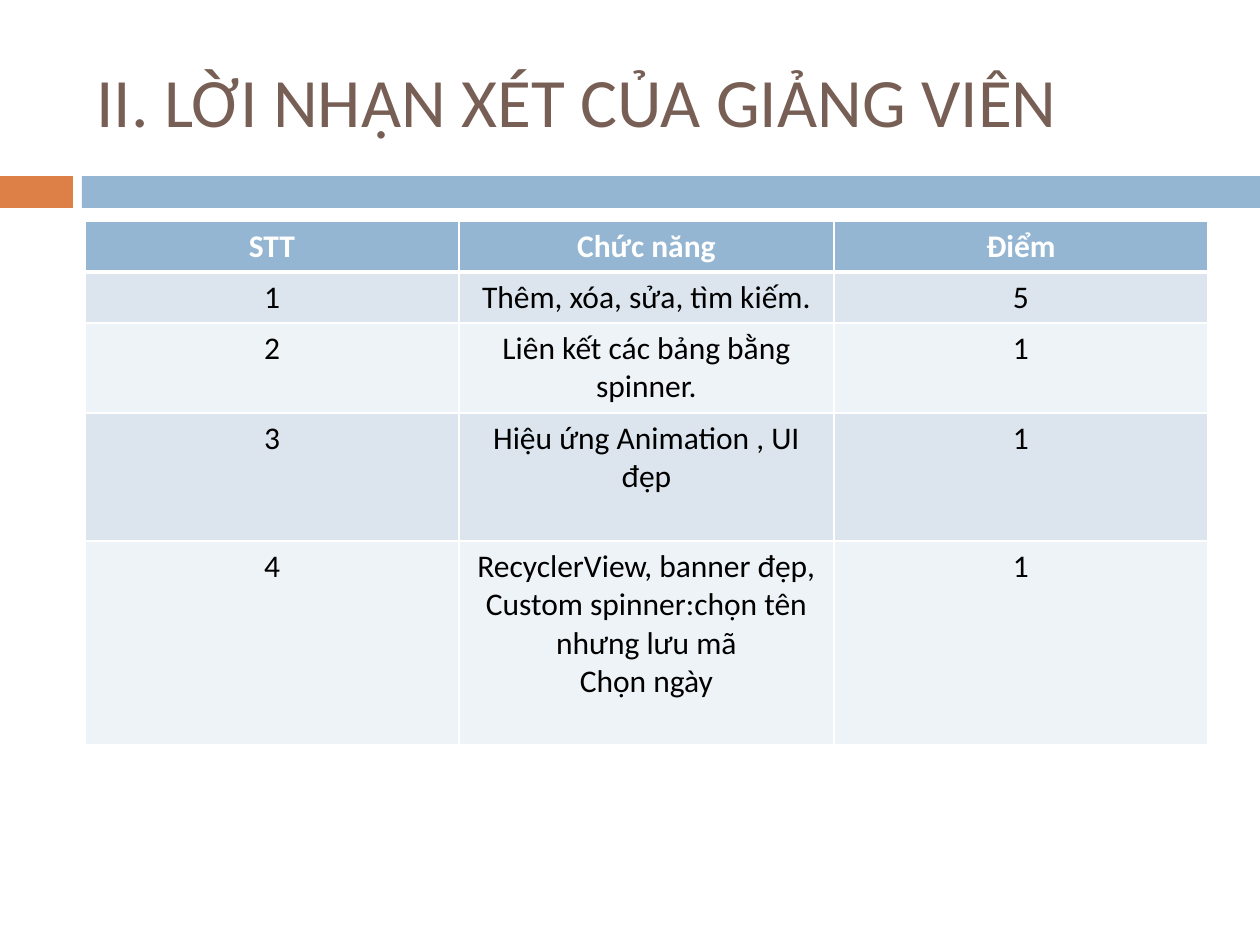
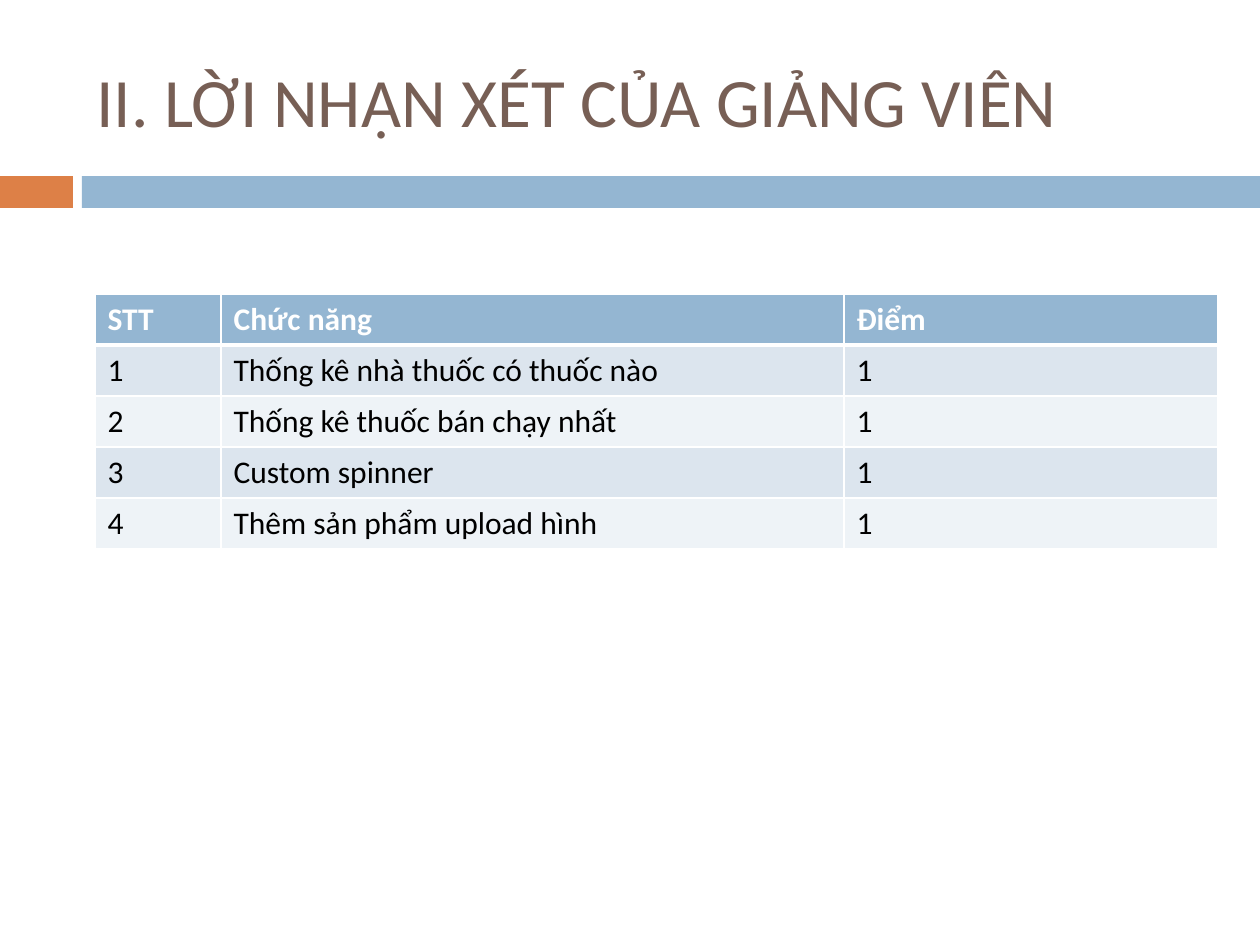
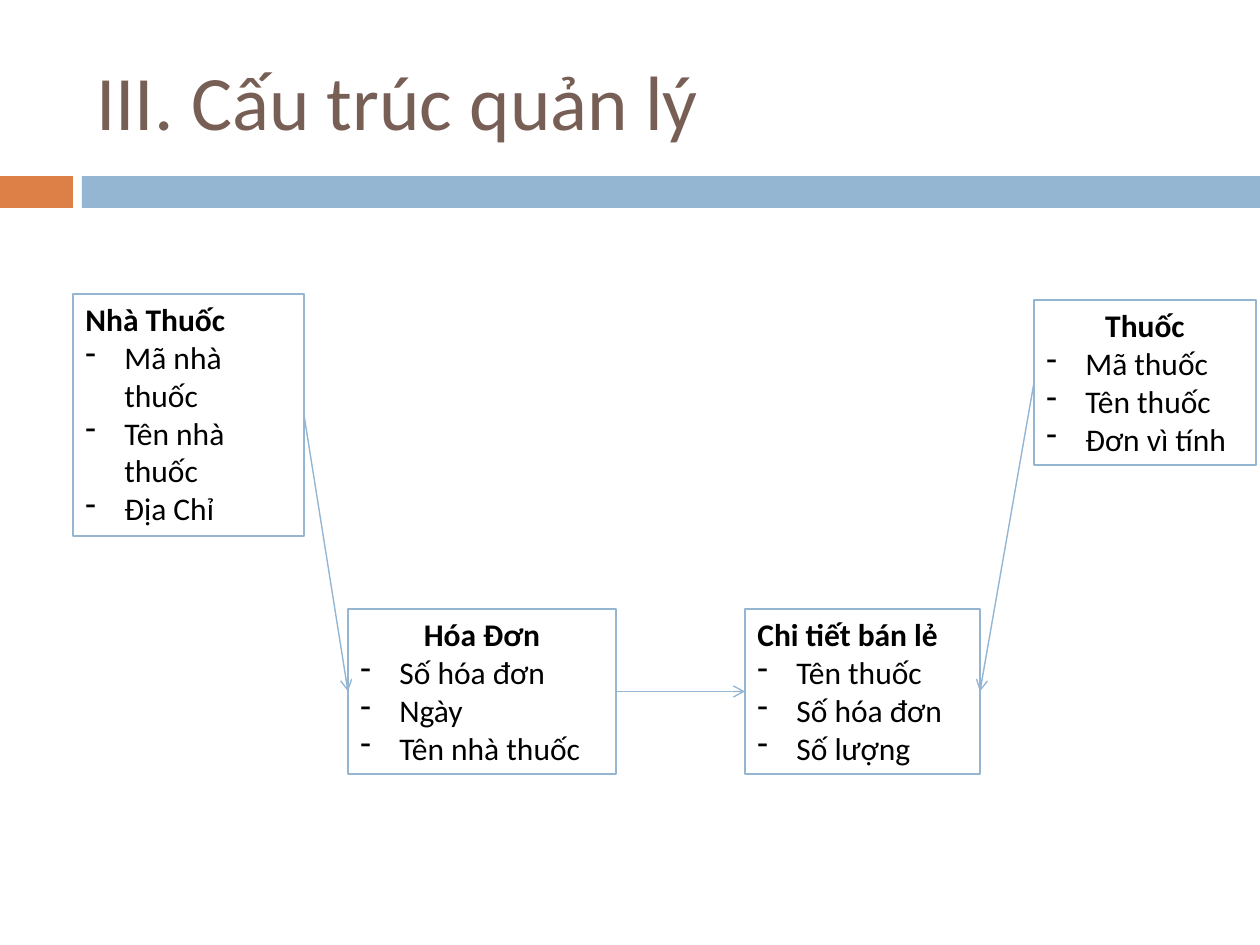
from lxml import etree
from pptx import Presentation, util as u
from pptx.dml.color import RGBColor
from pptx.enum import shapes, text
from pptx.oxml.ns import qn

HUE = {"blue": "94B6D2", "orange": "DD8047", "brown": "775F55", "white": "FFFFFF",
       "black": "000000", "band": "DCE5EE", "pale": "EEF3F7"}
RGB = {name: RGBColor.from_string(code) for name, code in HUE.items()}
LEFT, MID = text.PP_ALIGN.LEFT, text.PP_ALIGN.CENTER


def px(count):
    """Turn pixels, 126 to the inch, into EMU."""
    return u.Emu(round(count * 914400 / 126))


def style(para, size, hue, bold=False, align=LEFT):
    para.alignment = align
    font = para.font
    font.name, font.size, font.bold = "Calibri", u.Pt(size), bold
    font.color.rgb = RGB[hue]


deck = Presentation()
deck.slide_width, deck.slide_height = px(1260), px(945)

# Shared title and bands
REVIEW = "II. LỜI NHẬN XÉT CỦA GIẢNG VIÊN"
pages = []
for title, size in [(REVIEW, 39.6), (REVIEW, 39.6), ("III. Cấu trúc quản lý", 44)]:
    page = deck.slides.add_slide(deck.slide_layouts[6])
    pages.append(page)
    for left, width, hue in [(0, 73, "orange"), (82, 1178, "blue")]:
        band = page.shapes.add_shape(shapes.MSO_SHAPE.RECTANGLE,
                                     px(left), px(176), px(width), px(32))
        band.shadow.inherit = False
        band.fill.solid()
        band.fill.fore_color.rgb = RGB[hue]
        band.line.fill.background()
    frame = page.shapes.add_textbox(px(84), px(32), px(1124), px(136)).text_frame
    frame.word_wrap = True
    frame.vertical_anchor = text.MSO_ANCHOR.MIDDLE
    frame.text = title
    style(frame.paragraphs[0], size, "brown")

# Score tables: page, left, top, column widths, row heights, alignment, rows
HEAD = ("STT", "Chức năng", "Điểm")
scores = [
    (pages[0], 85, 221, (374, 375, 374), (51, 51, 90, 128, 204), MID, [
        HEAD,
        ("1", "Thêm, xóa, sửa, tìm kiếm.", "5"),
        ("2", "Liên kết các bảng bằng spinner.", "1"),
        ("3", "Hiệu ứng Animation , UI đẹp", "1"),
        ("4", "RecyclerView, banner đẹp,\nCustom spinner:chọn tên nhưng lưu mã\nChọn ngày", "1"),
    ]),
    (pages[1], 95, 294, (126, 623, 374), (51,) * 5, LEFT, [
        HEAD,
        ("1", "Thống kê nhà thuốc có thuốc nào", "1"),
        ("2", "Thống kê thuốc bán chạy nhất", "1"),
        ("3", "Custom spinner", "1"),
        ("4", "Thêm sản phẩm upload hình", "1"),
    ]),
]
for page, left, top, cols, tall, align, rows in scores:
    grid = page.shapes.add_table(len(rows), len(cols), px(left), px(top),
                                 px(sum(cols)), px(sum(tall))).table
    for col, width in zip(grid.columns, cols):
        col.width = px(width)
    for r, row in enumerate(rows):
        grid.rows[r].height = px(tall[r])
        fill = "blue" if r == 0 else "band" if r % 2 else "pale"
        for c, words in enumerate(row):
            cell = grid.cell(r, c)
            cell.text = words
            for para in cell.text_frame.paragraphs:
                style(para, 18, "black" if r else "white", r == 0, align)
            props = cell._tc.get_or_add_tcPr()
            for side in "LRTB":
                thick = (r, side) in [(0, "B"), (1, "T")]
                edge = etree.SubElement(props, qn("a:ln" + side),
                                        w=str(u.Pt(3 if thick else 1)))
                solid = etree.SubElement(edge, qn("a:solidFill"))
                etree.SubElement(solid, qn("a:srgbClr"), val=HUE["white"])
            cell.fill.solid()
            cell.fill.fore_color.rgb = RGB[fill]

# Data model: left, top, width, height, heading alignment, heading, fields
models = [
    (73, 294, 231, 242, LEFT, "Nhà Thuốc", ["Mã nhà thuốc", "Tên nhà thuốc", "Địa Chỉ"]),
    (1034, 300, 222, 165, MID, "Thuốc", ["Mã thuốc", "Tên thuốc", "Đơn vì tính"]),
    (348, 609, 268, 165, MID, "Hóa Đơn", ["Số hóa đơn", "Ngày", "Tên nhà thuốc"]),
    (745, 609, 235, 165, LEFT, "Chi tiết bán lẻ", ["Tên thuốc", "Số hóa đơn", "Số lượng"]),
]
boxes = {}
for left, top, width, height, align, name, fields in models:
    box = pages[2].shapes.add_shape(shapes.MSO_SHAPE.RECTANGLE,
                                    px(left), px(top), px(width), px(height))
    boxes[name] = box
    box.shadow.inherit = False
    box.fill.solid()
    box.fill.fore_color.rgb = RGB["white"]
    box.line.color.rgb = RGB["blue"]
    box.line.width = u.Pt(1.5)
    frame = box.text_frame
    frame.word_wrap = True
    frame.vertical_anchor = text.MSO_ANCHOR.TOP
    frame.text = "\n".join([name] + fields)
    head, *items = frame.paragraphs
    style(head, 18, "black", True, align)
    for item in items:
        props = item._p.get_or_add_pPr()
        props.set("marL", str(px(39)))
        props.set("indent", str(-px(39)))
        etree.SubElement(props, qn("a:buFontTx"))
        etree.SubElement(props, qn("a:buChar"), char="-")
        style(item, 18, "black")

# Links between models, by connection site
WEST, EAST = 1, 3
for start, out, end, into in [("Nhà Thuốc", EAST, "Hóa Đơn", WEST),
                              ("Hóa Đơn", EAST, "Chi tiết bán lẻ", WEST),
                              ("Thuốc", WEST, "Chi tiết bán lẻ", EAST)]:
    link = pages[2].shapes.add_connector(shapes.MSO_CONNECTOR.STRAIGHT, 0, 0, 0, 0)
    link.begin_connect(boxes[start], out)
    link.end_connect(boxes[end], into)
    link.line.color.rgb = RGB["blue"]
    link.line.width = u.Pt(0.79)
    etree.SubElement(link.line._get_or_add_ln(), qn("a:tailEnd"), type="arrow")
    etree.SubElement(link._element.spPr, qn("a:effectLst"))

deck.save("out.pptx")
